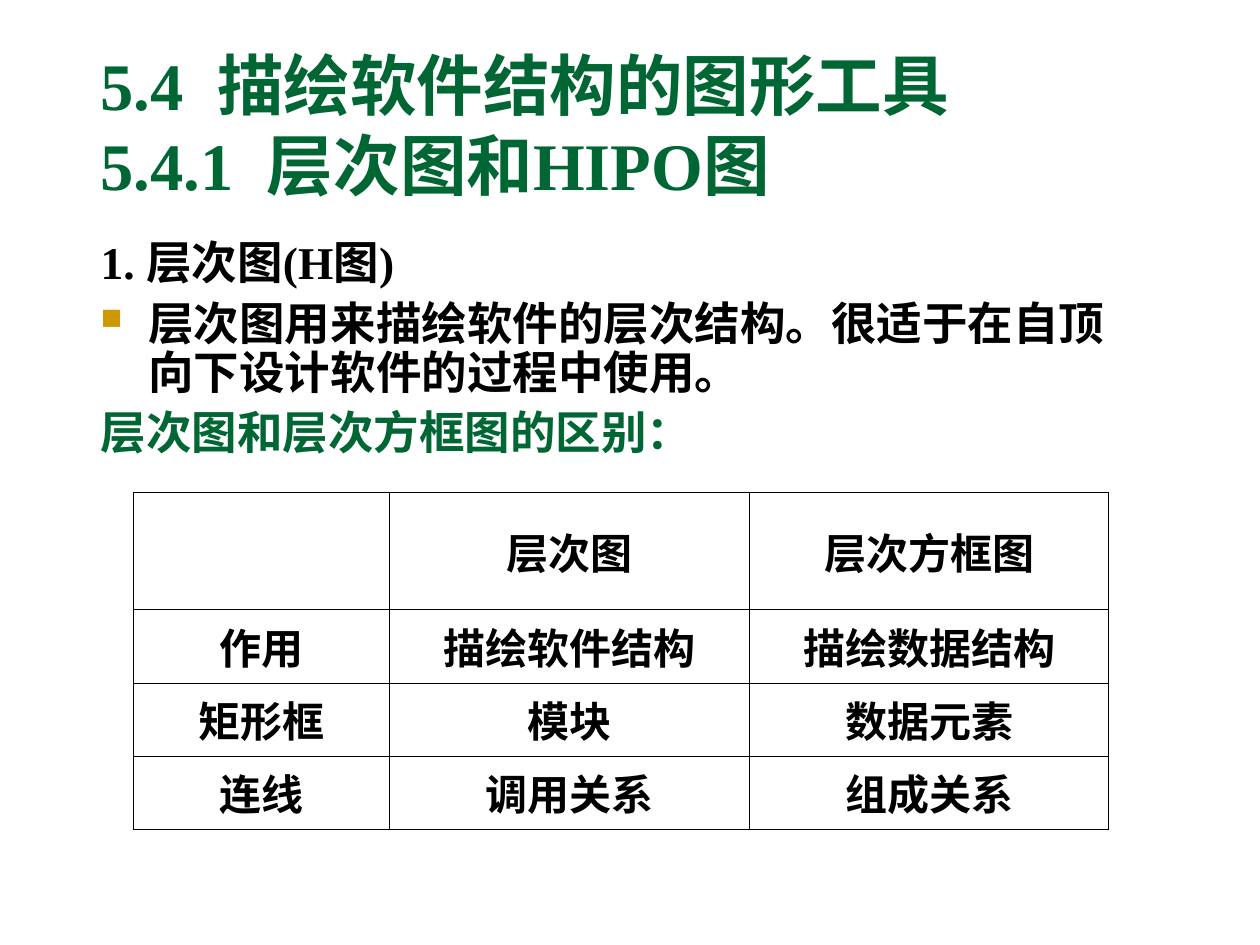
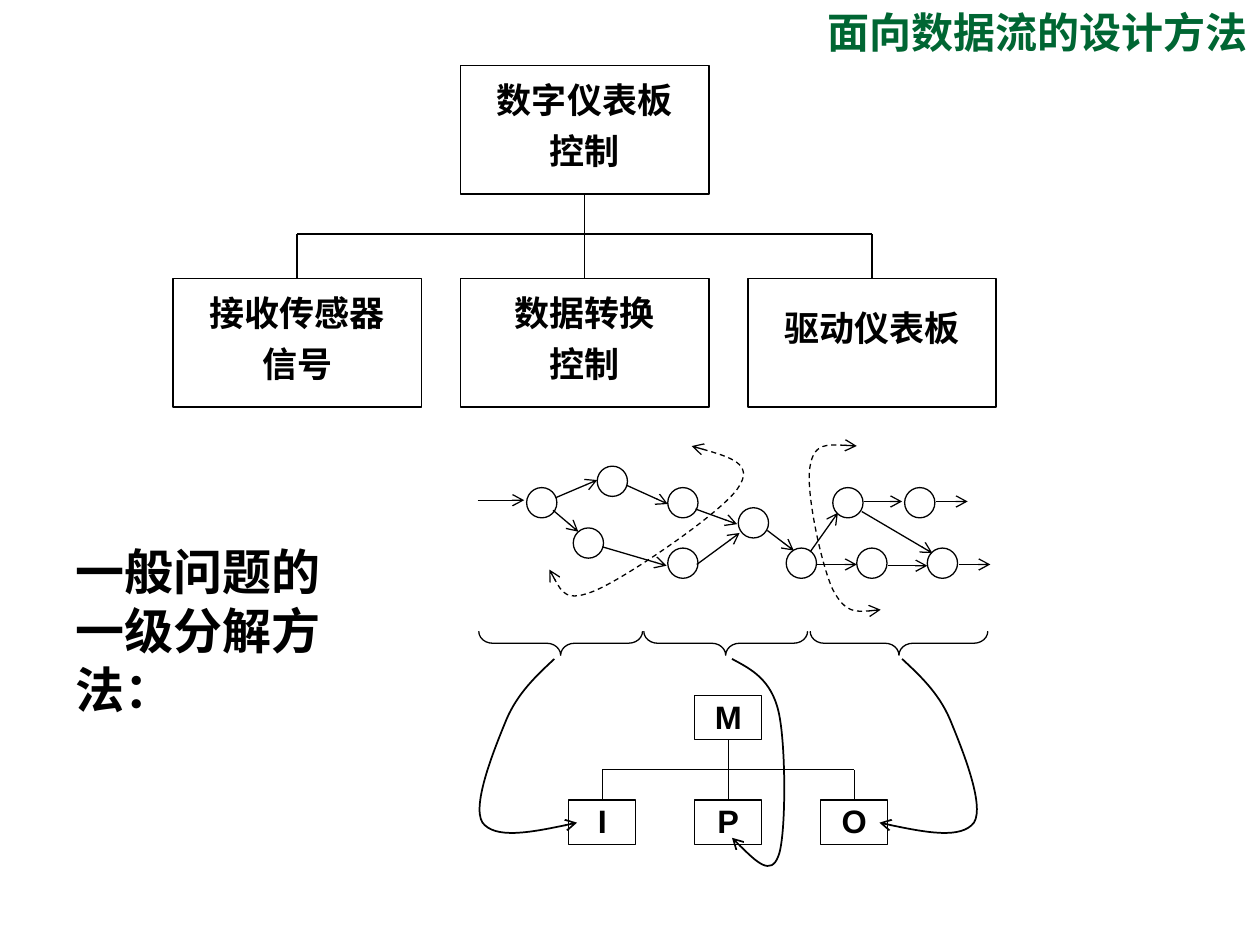
from dataclasses import dataclass

import pptx
import pptx.dml.color
import pptx.enum.dml
import pptx.enum.shapes
import pptx.enum.text
import pptx.oxml
import pptx.oxml.ns
import pptx.util
from lxml import etree

Inches = pptx.util.Inches
Pt = pptx.util.Pt
Shape = pptx.enum.shapes.MSO_SHAPE
Align = pptx.enum.text.PP_ALIGN
qn = pptx.oxml.ns.qn


def rgb(code):
    return pptx.dml.color.RGBColor.from_string(code)


@dataclass(frozen=True)
class Theme:
    ink: str = "000000"
    green: str = "006633"
    gold: str = "CC9900"
    serif: str = "Times New Roman"
    sans: str = "Arial"
    title: float = 38
    lead: float = 28
    body: float = 26
    label: float = 24
    module: float = 20
    letter: float = 18.5
    thin: float = 0.75
    thick: float = 1
    grid: float = 0.45


class SlideBuilder:
    def __init__(self, deck, theme):
        self.deck, self.theme, self.page = deck, theme, None

    def new_page(self):
        self.page = self.deck.slides.add_slide(self.deck.slide_layouts[6])

    # Text
    def style(self, para, size, face, color=None, align=Align.LEFT):
        para.alignment = align
        para.font.size = Pt(size)
        para.font.name = face
        para.font.bold = True
        para.font.color.rgb = rgb(color or self.theme.ink)

    def text_box(self, left, top, width, height):
        box = self.page.shapes.add_textbox(
            Inches(left), Inches(top), Inches(width), Inches(height))
        box.text_frame.word_wrap = True
        return box.text_frame

    def text(self, words, place, size, face, color=None, align=Align.LEFT):
        para = self.text_box(*place).paragraphs[0]
        para.text = words
        self.style(para, size, face, color, align)

    def outline(self, items, place):
        """Items are (words, color, has_bullet)."""
        frame = self.text_box(*place)
        for index, (words, color, has_bullet) in enumerate(items):
            para = frame.add_paragraph() if index else frame.paragraphs[0]
            para.text = words
            para.line_spacing = 0.9
            para.space_before = Pt(6.5)
            props = para._p.get_or_add_pPr()
            props.set("marL", str(Inches(0.38)))
            props.set("indent", str(-Inches(0.38)))
            if has_bullet:
                tint = etree.SubElement(props, qn("a:buClr"))
                etree.SubElement(tint, qn("a:srgbClr"), val=self.theme.gold)
                etree.SubElement(props, qn("a:buSzPct"), val="65000")
                etree.SubElement(props, qn("a:buChar"), char="■")
            self.style(para, self.theme.body, self.theme.serif, color)

    # Table
    def table(self, rows, left, top, widths, heights):
        table = self.page.shapes.add_table(
            len(rows), len(widths), Inches(left), Inches(top),
            Inches(sum(widths)), Inches(sum(heights))).table
        table.first_row = table.horz_banding = False
        for column, width in zip(table.columns, widths):
            column.width = Inches(width)
        for row, height, words in zip(table.rows, heights, rows):
            row.height = Inches(height)
            for cell, word in zip(row.cells, words):
                cell.text = word
                cell.vertical_anchor = pptx.enum.text.MSO_ANCHOR.MIDDLE
                self.style(cell.text_frame.paragraphs[0], self.theme.label,
                           self.theme.serif, align=Align.CENTER)
                self.cell_borders(cell)

    def cell_borders(self, cell):
        props = cell._tc.get_or_add_tcPr()
        for side in ("a:lnL", "a:lnR", "a:lnT", "a:lnB"):
            edge = etree.SubElement(props, qn(side), w=str(Pt(self.theme.grid)))
            fill = etree.SubElement(edge, qn("a:solidFill"))
            etree.SubElement(fill, qn("a:srgbClr"), val=self.theme.ink)
        cell.fill.background()

    # Lines and shapes
    def stroke(self, shape, weight, head=False, tail=False, dashed=False):
        shape.line.color.rgb = rgb(self.theme.ink)
        shape.line.width = Pt(weight)
        if dashed:
            shape.line.dash_style = pptx.enum.dml.MSO_LINE.DASH
        line = shape.element.spPr.find(qn("a:ln"))
        for wanted, tag in ((head, "a:headEnd"), (tail, "a:tailEnd")):
            if wanted:
                etree.SubElement(line, qn(tag), type="arrow")

    def line(self, x1, y1, x2, y2, weight, arrow=False):
        connector = self.page.shapes.add_connector(
            pptx.enum.shapes.MSO_CONNECTOR.STRAIGHT,
            Inches(x1), Inches(y1), Inches(x2), Inches(y2))
        self.stroke(connector, weight, tail=arrow)
        etree.SubElement(connector.element.spPr, qn("a:effectLst"))

    def shape(self, kind, left, top, width, height, weight):
        shape = self.page.shapes.add_shape(
            kind, Inches(left), Inches(top), Inches(width), Inches(height))
        shape.shadow.inherit = False
        shape.fill.background()
        self.stroke(shape, weight)
        return shape

    def curve(self, points, weight, head=False, dashed=False):
        """A start point, then three Bezier points for each segment."""
        start, *rest = [(Inches(x), Inches(y)) for x, y in points]
        builder = self.page.shapes.build_freeform(*start)
        builder.add_line_segments(rest, close=False)
        shape = builder.convert_to_shape()
        shape.shadow.inherit = False
        shape.fill.background()
        self.stroke(shape, weight, head, True, dashed)
        outline = next(shape.element.iter(qn("a:path")))
        steps = outline.findall(qn("a:lnTo"))
        for index in range(0, len(steps), 3):
            bezier = etree.SubElement(outline, qn("a:cubicBezTo"))
            for step in steps[index:index + 3]:
                bezier.append(step[0])
                outline.remove(step)

    def brace(self, left, right, top):
        depth, length = 0.19, right - left
        brace = self.shape(Shape.LEFT_BRACE, (left + right - depth) / 2,
                           top + (depth - length) / 2, depth, length,
                           self.theme.thin)
        brace.rotation = 270
        brace.adjustments[0] = 0.58

    # Module trees
    def module(self, words, middle, top, size, tree, inset=None):
        width, height = size
        shape = self.shape(Shape.RECTANGLE, middle - width / 2, top,
                           width, height, tree.weight)
        frame = shape.text_frame
        frame.word_wrap = True
        frame.vertical_anchor = pptx.enum.text.MSO_ANCHOR.TOP
        frame.margin_left = frame.margin_right = Inches(0.02)
        frame.margin_bottom = Inches(tree.inset)
        frame.margin_top = Inches(inset or tree.inset)
        frame.text = words
        for para in frame.paragraphs:
            para.line_spacing = tree.spacing
            self.style(para, tree.font, self.theme.sans, align=Align.CENTER)

    def tree(self, tree, root, children):
        """Children are (words, top inset); the middle one is under the root."""
        bottom = tree.top + tree.size[1]
        first, last = tree.middle - tree.step, tree.middle + tree.step
        self.module(root, tree.middle, tree.top, tree.size, tree)
        for index, (words, inset) in enumerate(children):
            self.module(words, first + index * tree.step, tree.child_top,
                        tree.size, tree, inset)
        self.line(tree.middle, bottom, tree.middle, tree.child_top, tree.weight)
        self.line(first, tree.bus, last, tree.bus, tree.weight)
        for x in (first, last):
            self.line(x, tree.bus, x, tree.child_top, tree.weight)


@dataclass(frozen=True)
class Tree:
    middle: float
    step: float
    top: float
    bus: float
    child_top: float
    size: tuple
    weight: float
    font: float
    inset: float
    spacing: float


def hierarchy_page(show):
    theme = show.theme
    show.new_page()
    show.text("5.4  描绘软件结构的图形工具\v5.4.1  层次图和HIPO图",
              (0.7, 0.3, 8.8, 1.48), theme.title, theme.serif, theme.green)
    show.outline([
        ("1. 层次图(H图)", theme.ink, False),
        ("层次图用来描绘软件的层次结构。很适于在自顶向下设计软件的过程中使用。",
         theme.ink, True),
        ("层次图和层次方框图的区别：", theme.green, False),
    ], (0.7, 1.86, 8.48, 1.97))
    show.table([
        ("", "层次图", "层次方框图"),
        ("作用", "描绘软件结构", "描绘数据结构"),
        ("矩形框", "模块", "数据元素"),
        ("连线", "调用关系", "组成关系"),
    ], 1.06, 3.91, (2.03, 2.86, 2.85), (0.93, 0.58, 0.58, 0.58))


def data_flow_page(show):
    theme = show.theme
    show.new_page()
    show.text("面向数据流的设计方法", (5.67, 0, 4.33, 0.42),
              theme.label, theme.serif, theme.green, Align.RIGHT)
    show.text("一般问题的一级分解方法：", (0.5, 4.25, 2.25, 1.58),
              theme.lead, theme.sans)

    # Dashboard modules
    dashboard = Tree(4.64, 2.28, 0.52, 1.86, 2.21, (1.97, 1.02),
                     theme.thick, theme.module, 0.04, 1.2)
    show.tree(dashboard, "数字仪表板\n控制", [
        ("接收传感器\n信号", None), ("数据转换\n控制", None), ("驱动仪表板", 0.16)])

    # Data flow graph
    nodes = [(4.18, 3.87), (4.74, 3.7), (4.55, 4.19), (5.3, 3.87),
             (5.3, 4.35), (5.86, 4.03), (6.24, 4.35), (6.61, 3.87),
             (6.8, 4.35), (7.18, 3.87), (7.36, 4.35)]
    for left, top in nodes:
        show.shape(Shape.OVAL, left, top, 0.24, 0.24, theme.thin)
    flows = [(3.79, 3.97, 4.16, 3.97), (4.41, 3.95, 4.74, 3.81),
             (4.39, 4.05, 4.59, 4.22), (4.97, 3.85, 5.3, 4),
             (4.78, 4.34, 5.29, 4.49), (5.52, 4.04, 5.85, 4.16),
             (5.53, 4.48, 5.87, 4.23), (6.09, 4.21, 6.3, 4.37),
             (6.43, 4.38, 6.65, 4.07), (6.48, 4.48, 6.8, 4.48),
             (6.86, 3.98, 7.16, 3.98), (7.05, 4.49, 7.36, 4.49),
             (6.84, 4.06, 7.4, 4.39), (7.43, 3.98, 7.68, 3.98),
             (7.61, 4.48, 7.86, 4.48)]
    for flow in flows:
        show.line(*flow, theme.thin, arrow=True)

    # Borders between input, transform and output
    input_border = [(5.49, 3.54), (5.74, 3.61), (5.99, 3.68), (5.86, 3.87),
                    (5.74, 4.06), (4.99, 4.57), (4.74, 4.68),
                    (4.49, 4.79), (4.43, 4.65), (4.36, 4.52)]
    output_border = [(6.8, 3.54), (6.63, 3.53), (6.46, 3.51), (6.43, 3.7),
                     (6.39, 3.89), (6.52, 4.49), (6.61, 4.68),
                     (6.71, 4.87), (6.85, 4.86), (6.99, 4.84)]
    for border in (input_border, output_border):
        show.curve(border, theme.thin, head=True, dashed=True)
    for left, right in ((3.8, 5.1), (5.11, 6.41), (6.43, 7.84)):
        show.brace(left, right, 5.01)

    # First-level modules
    first_level = Tree(5.78, 1, 5.52, 6.11, 6.35, (0.53, 0.35),
                       theme.thin, theme.letter, 0.01, 1.0)
    show.tree(first_level, "M", [("I", None), ("P", None), ("O", None)])
    to_input = [(4.4, 5.23), (4.26, 5.36), (4.11, 5.5), (4.02, 5.71),
                (3.93, 5.93), (3.74, 6.39), (3.83, 6.53),
                (3.93, 6.66), (4.26, 6.6), (4.58, 6.53)]
    to_output = [(2 * first_level.middle - x, y) for x, y in to_input]
    to_process = [(5.81, 5.23), (5.96, 5.31), (6.12, 5.39), (6.18, 5.65),
                  (6.24, 5.91), (6.24, 6.63), (6.18, 6.79),
                  (6.12, 6.96), (5.96, 6.8), (5.81, 6.65)]
    for link in (to_input, to_output, to_process):
        show.curve(link, theme.thick)


def main():
    deck = pptx.Presentation()
    deck.slide_width, deck.slide_height = Inches(10), Inches(7.5)
    show = SlideBuilder(deck, Theme())
    hierarchy_page(show)
    data_flow_page(show)
    deck.save("out.pptx")


if __name__ == "__main__":
    main()
